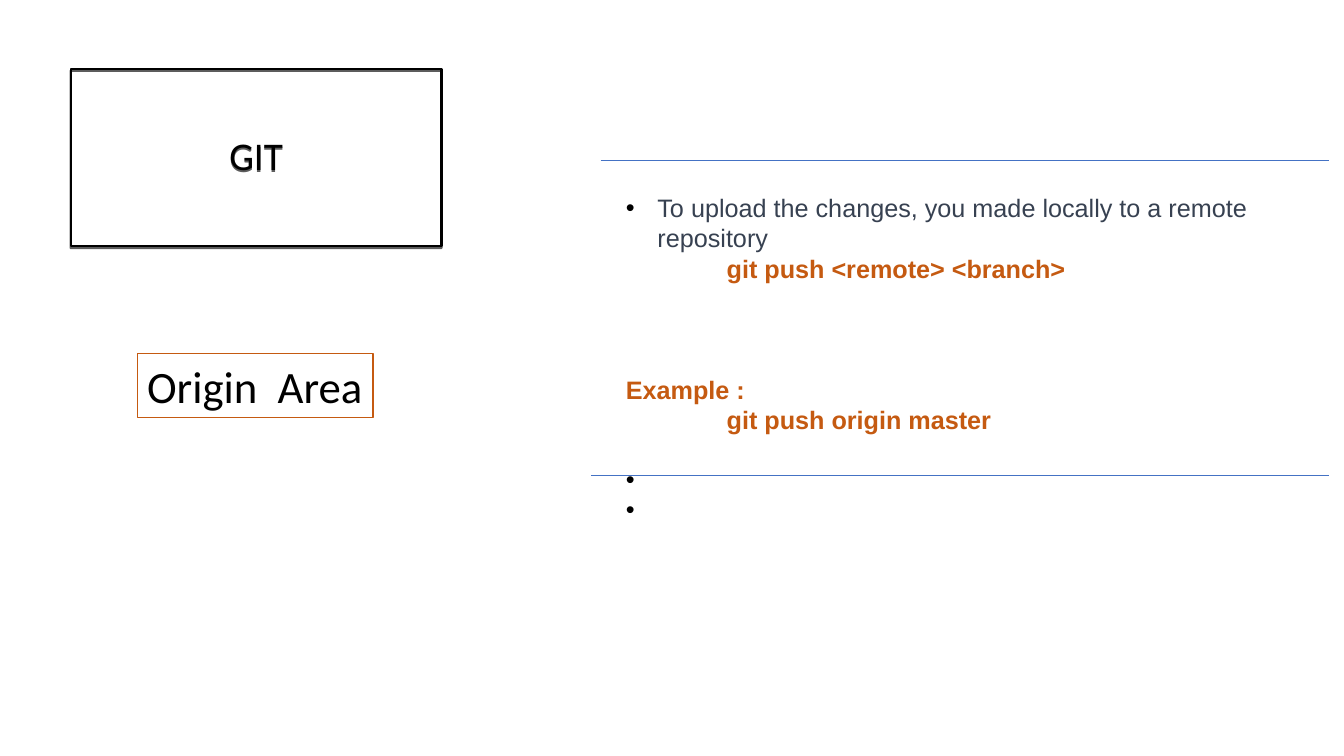
from dataclasses import dataclass
from typing import Any

import lxml.etree
import pptx
import pptx.dml.color
import pptx.enum.shapes
import pptx.enum.text
import pptx.oxml
import pptx.oxml.ns
import pptx.util

Pt = pptx.util.Pt
qn = pptx.oxml.ns.qn


@dataclass(frozen=True)
class Theme:
    black: str = "000000"
    slate: str = "374151"
    orange: str = "C55A11"
    blue: str = "4472C4"
    heading_font: str = "Calibri"
    body_font: str = "Arial"
    bullet_font: str = "Karla"
    title_size: float = 28
    label_size: float = 32
    body_size: float = 18
    body_leading: float = 21.6


@dataclass(frozen=True)
class Rule:
    left: float
    top: float


@dataclass(frozen=True)
class Line:
    text: str
    color: str
    font: str
    bold: bool = False
    bullet: bool = False
    indent: float = 0
    lines_before: int = 0


THEME = Theme()
RULE_RIGHT = 949
BULLET_INDENT = 22.5
COMMAND_INDENT = 72

RULES = [Rule(429, 114.5), Rule(422, 339.8)]

LINES = [
    Line("To upload the changes, you made locally to a remote repository",
         THEME.slate, THEME.body_font, bullet=True, indent=BULLET_INDENT),
    Line("git push <remote> <branch>", THEME.orange, THEME.body_font, bold=True,
         indent=COMMAND_INDENT),
    Line("Example :", THEME.orange, THEME.body_font, bold=True, lines_before=3),
    Line("git push origin master", THEME.orange, THEME.body_font, bold=True,
         indent=COMMAND_INDENT),
    Line(" ", THEME.orange, THEME.body_font, bullet=True, indent=BULLET_INDENT,
         lines_before=1),
    Line(" ", THEME.orange, THEME.bullet_font, bullet=True, indent=BULLET_INDENT),
]


def rgb(color: str) -> Any:
    return pptx.dml.color.RGBColor.from_string(color)


def write_text(para: Any, text: str, *, font: str, size: float, color: str,
               bold: bool = False, align: Any = pptx.enum.text.PP_ALIGN.LEFT,
               spacing: Any = None) -> None:
    para.alignment = align
    para.line_spacing = spacing
    span = para.add_run()
    span.text = text
    span.font.name = font
    span.font.size = Pt(size)
    span.font.bold = bold
    span.font.color.rgb = rgb(color)


def outline(shape: Any, color: str, width: float) -> None:
    shape.line.color.rgb = rgb(color)
    shape.line.width = Pt(width)


def indent_paragraph(para: Any, left: float, bullet: bool) -> None:
    properties = para._p.get_or_add_pPr()
    properties.set("marL", str(Pt(left)))
    properties.set("indent", str(-Pt(left) if bullet else 0))
    if bullet:
        bullet_color = lxml.etree.SubElement(properties, qn("a:buClr"))
        lxml.etree.SubElement(bullet_color, qn("a:srgbClr"), val=THEME.black)
        lxml.etree.SubElement(properties, qn("a:buFont"), typeface=THEME.body_font)
        lxml.etree.SubElement(properties, qn("a:buChar"), char="•")
    else:
        lxml.etree.SubElement(properties, qn("a:buNone"))


def add_drop_shadow(shape: Any) -> None:
    effects = lxml.etree.SubElement(shape._element.spPr, qn("a:effectLst"))
    shadow = lxml.etree.SubElement(
        effects, qn("a:outerShdw"), blurRad="0", dist=str(Pt(1.5)),
        dir="5400000", algn="ctr", rotWithShape="0")
    shadow_color = lxml.etree.SubElement(shadow, qn("a:srgbClr"), val=THEME.black)
    lxml.etree.SubElement(shadow_color, qn("a:alpha"), val="63000")


def format_title(title: Any) -> None:
    title.left, title.top, title.width, title.height = Pt(50.4), Pt(49), Pt(265), Pt(126.7)
    title.fill.background()
    outline(title, THEME.black, 1.5)
    add_drop_shadow(title)
    frame = title.text_frame
    frame.vertical_anchor = pptx.enum.text.MSO_ANCHOR.MIDDLE
    write_text(frame.paragraphs[0], "GIT", font=THEME.heading_font,
               size=THEME.title_size, color=THEME.black,
               align=pptx.enum.text.PP_ALIGN.CENTER, spacing=0.9)


def add_rule(page: Any, rule: Rule) -> None:
    connector = page.shapes.add_connector(
        pptx.enum.shapes.MSO_CONNECTOR.STRAIGHT,
        Pt(rule.left), Pt(rule.top), Pt(RULE_RIGHT), Pt(rule.top))
    outline(connector, THEME.blue, 0.5)
    lxml.etree.SubElement(connector._element.spPr, qn("a:effectLst"))


def add_area_label(page: Any) -> None:
    label = page.shapes.add_shape(
        pptx.enum.shapes.MSO_SHAPE.RECTANGLE, Pt(98), Pt(252.7), Pt(168.5), Pt(45.4))
    label.shadow.inherit = False
    label.fill.background()
    outline(label, THEME.orange, 0.75)
    frame = label.text_frame
    frame.word_wrap = False
    frame.auto_size = pptx.enum.text.MSO_AUTO_SIZE.SHAPE_TO_FIT_TEXT
    frame.vertical_anchor = pptx.enum.text.MSO_ANCHOR.TOP
    write_text(frame.paragraphs[0], "Origin  Area", font=THEME.heading_font,
               size=THEME.label_size, color=THEME.black)


def add_instructions(page: Any, lines: list[Line]) -> None:
    box = page.shapes.add_textbox(Pt(440), Pt(134), Pt(519.8), Pt(244.8))
    frame = box.text_frame
    frame.word_wrap = True
    frame.auto_size = pptx.enum.text.MSO_AUTO_SIZE.SHAPE_TO_FIT_TEXT
    for index, line in enumerate(lines):
        para = frame.paragraphs[0] if index == 0 else frame.add_paragraph()
        indent_paragraph(para, line.indent, line.bullet)
        if line.lines_before:
            para.space_before = Pt(line.lines_before * THEME.body_leading)
        write_text(para, line.text, font=line.font, size=THEME.body_size,
                   color=line.color, bold=line.bold, spacing=Pt(THEME.body_leading))


def main() -> None:
    deck = pptx.Presentation()
    deck.slide_width, deck.slide_height = Pt(960), Pt(540)
    page = deck.slides.add_slide(deck.slide_layouts.get_by_name("Title Only"))
    format_title(page.shapes.title)
    for rule in RULES:
        add_rule(page, rule)
    add_area_label(page)
    add_instructions(page, LINES)
    deck.save("out.pptx")


if __name__ == "__main__":
    main()
